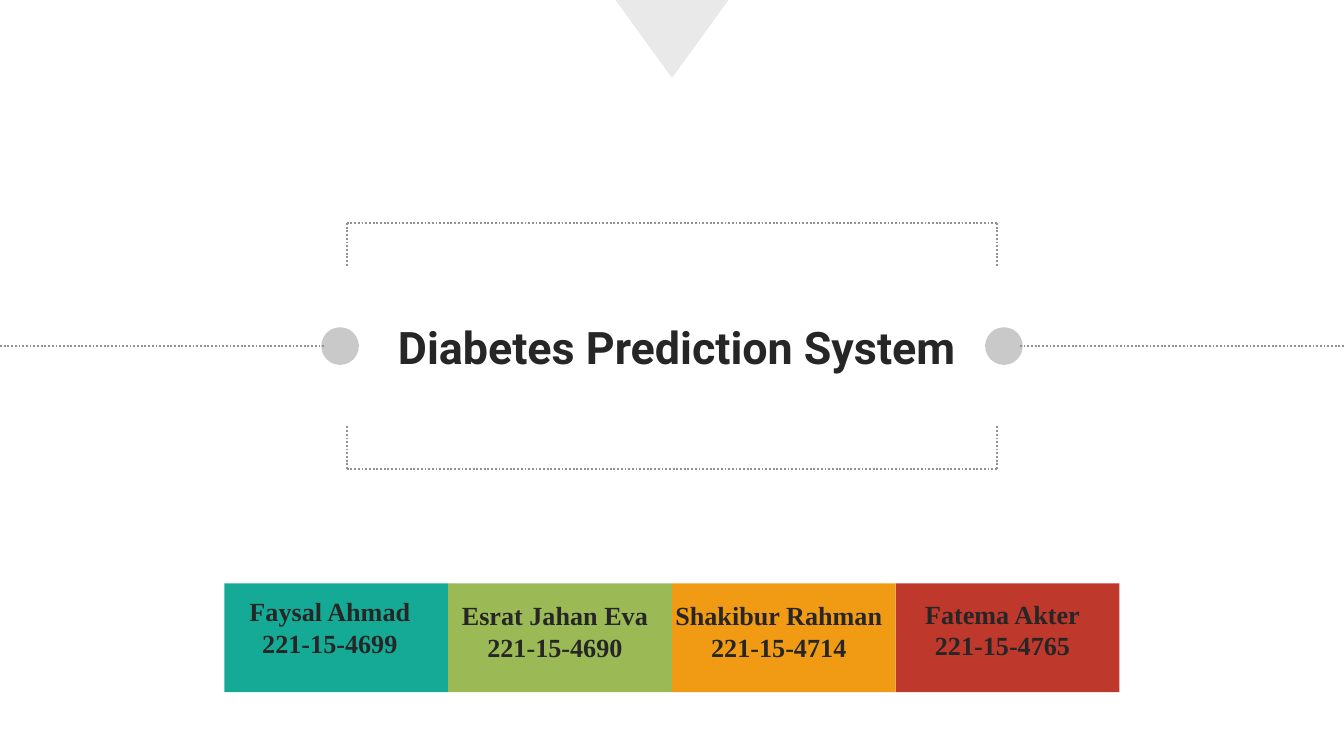
from pptx import Presentation
from pptx.dml.color import RGBColor
from pptx.enum.dml import MSO_LINE
from pptx.enum.shapes import MSO_CONNECTOR, MSO_SHAPE
from pptx.enum.text import MSO_ANCHOR, PP_ALIGN
from pptx.oxml.ns import qn
from pptx.util import Inches, Pt
from lxml import etree

WIDTH = 10
HEIGHT = WIDTH * 9 / 16
INK, LINE, DOT, MARKER = "262626", "929292", "C9C9C9", "E9E9E9"
TITLE_FORMAT = {"name": "Roboto", "size": Pt(24), "bold": True}
MEMBER_FORMAT = {"name": "Times New Roman", "size": Pt(14), "bold": True}

# name, student number, tile colour, label box (left, top, width)
MEMBERS = [
    ("Faysal Ahmad", "221-15-4699", "15AA96", (1.75, 4.38, 1.41)),
    ("Esrat Jahan Eva", "221-15-4690", "9BB955", (3.33, 4.41, 1.6)),
    ("Shakibur Rahman", "221-15-4714", "F19B14", (4.92, 4.41, 1.75)),
    ("Fatema Akter", "221-15-4765", "BE382C", (6.78, 4.4, 1.36)),
]


def color(value):
    return RGBColor.from_string(value)


def add_filled(slide, kind, box, fill):
    shape = slide.shapes.add_shape(kind, *map(Inches, box))
    shape.shadow.inherit = False
    shape.fill.solid()
    shape.fill.fore_color.rgb = color(fill)
    shape.line.fill.background()
    return shape


def add_dotted_line(slide, start, end):
    connector = slide.shapes.add_connector(
        MSO_CONNECTOR.STRAIGHT, *map(Inches, (*start, *end)))
    connector.line.color.rgb = color(LINE)
    connector.line.width = Pt(1)
    connector.line.dash_style = MSO_LINE.ROUND_DOT
    etree.SubElement(connector._element.spPr, qn("a:effectLst"))


def add_centred_text(slide, box, lines, font_format, margins):
    text_box = slide.shapes.add_textbox(*map(Inches, box))
    frame = text_box.text_frame
    frame.word_wrap = False
    frame.vertical_anchor = MSO_ANCHOR.MIDDLE
    frame.margin_left = frame.margin_right = Inches(margins[0])
    frame.margin_top = frame.margin_bottom = Inches(margins[1])
    frame.text = "\n".join(lines)
    for paragraph in frame.paragraphs:
        paragraph.alignment = PP_ALIGN.CENTER
        for name, value in font_format.items():
            setattr(paragraph.font, name, value)
        paragraph.font.color.rgb = color(INK)


def add_top_marker(slide, box):
    triangle = add_filled(slide, MSO_SHAPE.ISOSCELES_TRIANGLE, box, MARKER)
    triangle.rotation = 180


def add_title_frame(slide, left, top, width, height):
    """Dotted brackets above and below the title, with a dot and a rule at each side."""
    right, bottom = left + width, top + height
    middle, tick, dot, overhang, overlap = top + height / 2, 0.33, 0.28, 0.19, 0.03
    for edge, tick_end in ((top, top + tick), (bottom, bottom - tick)):
        add_dotted_line(slide, (left, edge), (right, edge))
        for side in (left, right):
            add_dotted_line(slide, (side, edge), (side, tick_end))
    for slide_edge, side, outward in ((0, left, -1), (WIDTH, right, 1)):
        outer = side + outward * overhang
        center = outer - outward * dot / 2
        add_filled(slide, MSO_SHAPE.OVAL,
                   (center - dot / 2, middle - dot / 2, dot, dot), DOT)
        add_dotted_line(slide, (slide_edge, middle),
                        (outer - outward * overlap, middle))
    add_centred_text(slide, (left - 0.02, top + 0.57, 4.95, 0.7),
                     ["Diabetes Prediction System"], TITLE_FORMAT, (0, 0))


def add_member_tiles(slide, left, top, width, height):
    tile_width = width / len(MEMBERS)
    for index, (_, _, fill, _) in enumerate(MEMBERS):
        add_filled(slide, MSO_SHAPE.RECTANGLE,
                   (left + index * tile_width, top, tile_width, height), fill)
    for name, number, _, label_box in MEMBERS:
        add_centred_text(slide, (*label_box, 0.57), [name, number],
                         MEMBER_FORMAT, (0.1, 0.05))


def main():
    presentation = Presentation()
    presentation.slide_width = Inches(WIDTH)
    presentation.slide_height = Inches(HEIGHT)
    slide = presentation.slides.add_slide(presentation.slide_layouts[6])
    add_top_marker(slide, (4.58, 0, 0.84, 0.58))
    add_title_frame(slide, 2.58, 1.66, 4.84, 1.83)
    add_member_tiles(slide, 1.67, 4.34, 6.66, 0.81)
    presentation.save("out.pptx")


if __name__ == "__main__":
    main()
